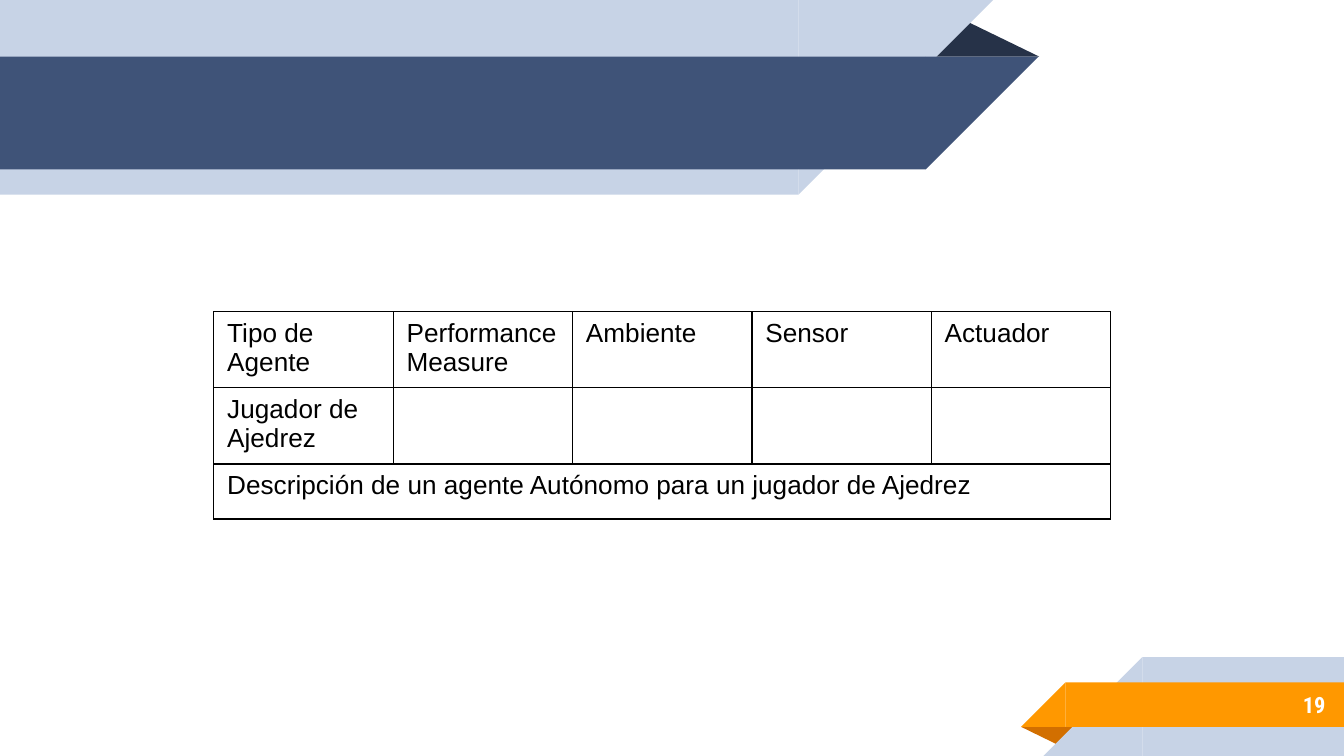
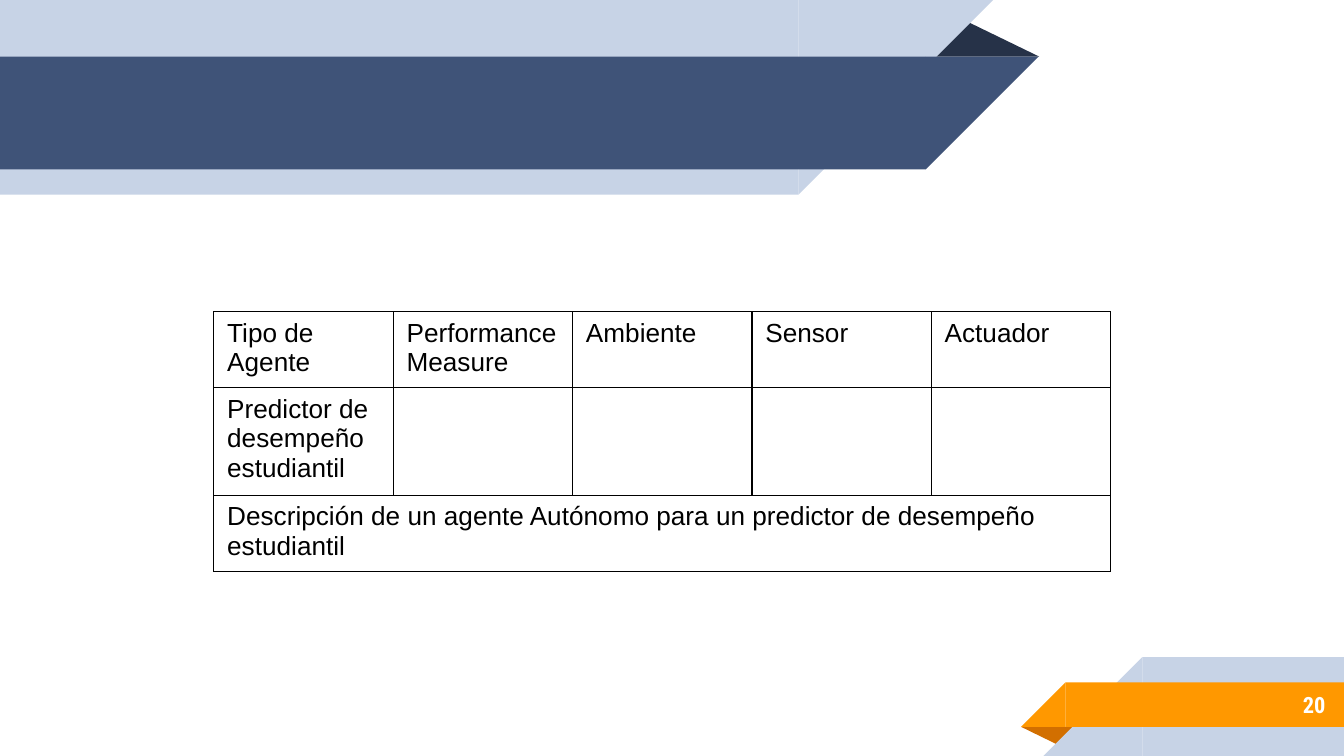
"""Builds two slides that describe autonomous agents in ribbon-framed tables."""
from dataclasses import dataclass

from lxml.etree import SubElement
from pptx import Presentation
from pptx.dml.color import RGBColor
from pptx.enum.shapes import MSO_SHAPE as Preset
from pptx.enum.text import MSO_ANCHOR as Anchor, PP_ALIGN as Align
from pptx.oxml.ns import qn
from pptx.shapes.autoshape import Shape
from pptx.slide import Slide, SlideLayout
from pptx.text.text import TextFrame
from pptx.util import Cm, Pt


@dataclass(frozen=True)
class Theme:
    pale: str = "C7D3E6"
    navy: str = "3F5378"
    navy_fold: str = "263248"
    orange: str = "FF9800"
    orange_fold: str = "D26F00"
    white: str = "FFFFFF"
    black: str = "000000"
    table_font: str = "Arial"
    number_font: str = "Roboto Condensed"
    table_size: float = 14
    number_size: float = 12
    border_width: float = 0.75


@dataclass(frozen=True)
class Ribbon:
    """A band that ends in a slanted tip, on its right for headers, else its left."""
    left: float
    top: float
    length: float
    height: float
    colour: str
    header: bool


@dataclass(frozen=True)
class Fold:
    """The shaded triangle behind a ribbon tip."""
    left: float
    top: float
    width: float
    height: float
    colour: str
    header: bool


@dataclass(frozen=True)
class AgentSlide:
    number: int
    agent: str
    description: str


THEME = Theme()
FRAME = (
    Fold(17.48, 0.36, 2.16, 0.71, THEME.navy_fold, True),
    Ribbon(0, 0, 15.09, 3.68, THEME.pale, True),
    Ribbon(0, 1.07, 17.5, 2.13, THEME.navy, True),
    Fold(19.3, 13.74, 1.09, 0.36, THEME.orange_fold, False),
    Ribbon(21.59, 12.42, 3.81, 1.87, THEME.pale, False),
    Ribbon(20.14, 12.9, 5.26, 0.84, THEME.orange, False),
)
HEADINGS = ("Tipo de Agente", "Performance Measure", "Ambiente", "Sensor", "Actuador")
AGENTS = (
    AgentSlide(19, "Jugador de Ajedrez",
               "Descripción de un agente Autónomo para un jugador de Ajedrez"),
    AgentSlide(20, "Predictor de desempeño estudiantil",
               "Descripción de un agente Autónomo para un predictor de desempeño estudiantil"),
)
COLUMN_WIDTH, ROW_HEIGHT, ROW_COUNT = 3.39, 1.04, 3


def add_piece(slide: Slide, preset: Preset, left: float, top: float,
              width: float, height: float, colour: str) -> Shape:
    """Add one plain, filled shape."""
    piece = slide.shapes.add_shape(preset, Cm(left), Cm(top), Cm(width), Cm(height))
    piece.shadow.inherit = False
    piece.fill.solid()
    piece.fill.fore_color.rgb = RGBColor.from_string(colour)
    piece.line.fill.background()
    return piece


def add_fold(slide: Slide, fold: Fold) -> list[Shape]:
    """Draw a fold, pointing up in the header and down in the footer."""
    triangle = add_piece(slide, Preset.ISOSCELES_TRIANGLE, fold.left, fold.top,
                         fold.width, fold.height, fold.colour)
    triangle.adjustments[0] = 0.324
    triangle.rotation = 0 if fold.header else 180
    return [triangle]


def add_ribbon(slide: Slide, ribbon: Ribbon) -> list[Shape]:
    """Draw a band and its tip, which is as wide as the band is high."""
    side = ribbon.height
    tip_left = ribbon.left + (ribbon.length if ribbon.header else -side)
    band = add_piece(slide, Preset.RECTANGLE, ribbon.left, ribbon.top,
                     ribbon.length, side, ribbon.colour)
    tip = add_piece(slide, Preset.RIGHT_TRIANGLE, tip_left, ribbon.top,
                    side, side, ribbon.colour)
    for part in (band, tip):
        part.rotation = 180 if ribbon.header else 0
        part.element.spPr.find(qn("a:xfrm")).set("flipH", "1")
    return [band, tip]


def frame_layout(slide: Slide, layout: SlideLayout) -> None:
    """Draw the ribbons and move them to the layout that all slides share."""
    for part in FRAME:
        draw = add_fold if isinstance(part, Fold) else add_ribbon
        for piece in draw(slide, part):
            layout.shapes.element.append(piece.element)


def format_runs(frame: TextFrame, font: str, size: float, colour: str, bold: bool) -> None:
    """Give every run of a text frame the same look."""
    for paragraph in frame.paragraphs:
        for run in paragraph.runs:
            run.font.name = font
            run.font.size = Pt(size)
            run.font.bold = bold
            run.font.color.rgb = RGBColor.from_string(colour)


def add_number(slide: Slide, number: int) -> None:
    """Write the slide number on the orange ribbon."""
    frame = slide.shapes.add_textbox(Cm(21.16), Cm(12.88), Cm(4.14), Cm(0.89)).text_frame
    frame.word_wrap = True
    frame.vertical_anchor = Anchor.MIDDLE
    frame.margin_left = frame.margin_right = Cm(0.25)
    frame.margin_top = frame.margin_bottom = Cm(0.25)
    frame.text = str(number)
    frame.paragraphs[0].alignment = Align.RIGHT
    format_runs(frame, THEME.number_font, THEME.number_size, THEME.white, True)


def add_agent_table(slide: Slide, agent: AgentSlide) -> None:
    """Add the agent table with a description across its last row."""
    graphic = slide.shapes.add_table(
        ROW_COUNT, len(HEADINGS), Cm(4.04), Cm(5.89),
        Cm(COLUMN_WIDTH * len(HEADINGS)), Cm(ROW_HEIGHT * ROW_COUNT))
    table = graphic.table
    table.first_row = table.horz_banding = False
    for column in table.columns:
        column.width = Cm(COLUMN_WIDTH)
    for row in table.rows:
        row.height = Cm(ROW_HEIGHT)
    for heading_cell, heading in zip(table.rows[0].cells, HEADINGS):
        heading_cell.text = heading
    table.cell(1, 0).text = agent.agent
    table.cell(2, 0).merge(table.cell(2, len(HEADINGS) - 1))
    table.cell(2, 0).text = agent.description
    for cell_xml in graphic.element.iter(qn("a:tc")):
        properties = cell_xml.get_or_add_tcPr()
        for edge in ("a:lnL", "a:lnR", "a:lnT", "a:lnB"):
            border = SubElement(properties, qn(edge), w=str(Pt(THEME.border_width)))
            paint = SubElement(border, qn("a:solidFill"))
            SubElement(paint, qn("a:srgbClr"), val=THEME.black)
    for cell in table.iter_cells():
        cell.fill.background()
        format_runs(cell.text_frame, THEME.table_font, THEME.table_size, THEME.black, False)


def main() -> None:
    """Build and save the deck."""
    deck = Presentation()
    deck.slide_width, deck.slide_height = Cm(25.4), Cm(14.29)
    layout = deck.slide_layouts.get_by_name("Blank")
    for index, agent in enumerate(AGENTS):
        slide = deck.slides.add_slide(layout)
        if index == 0:
            frame_layout(slide, layout)
        add_number(slide, agent.number)
        add_agent_table(slide, agent)
    deck.save("out.pptx")


if __name__ == "__main__":
    main()
